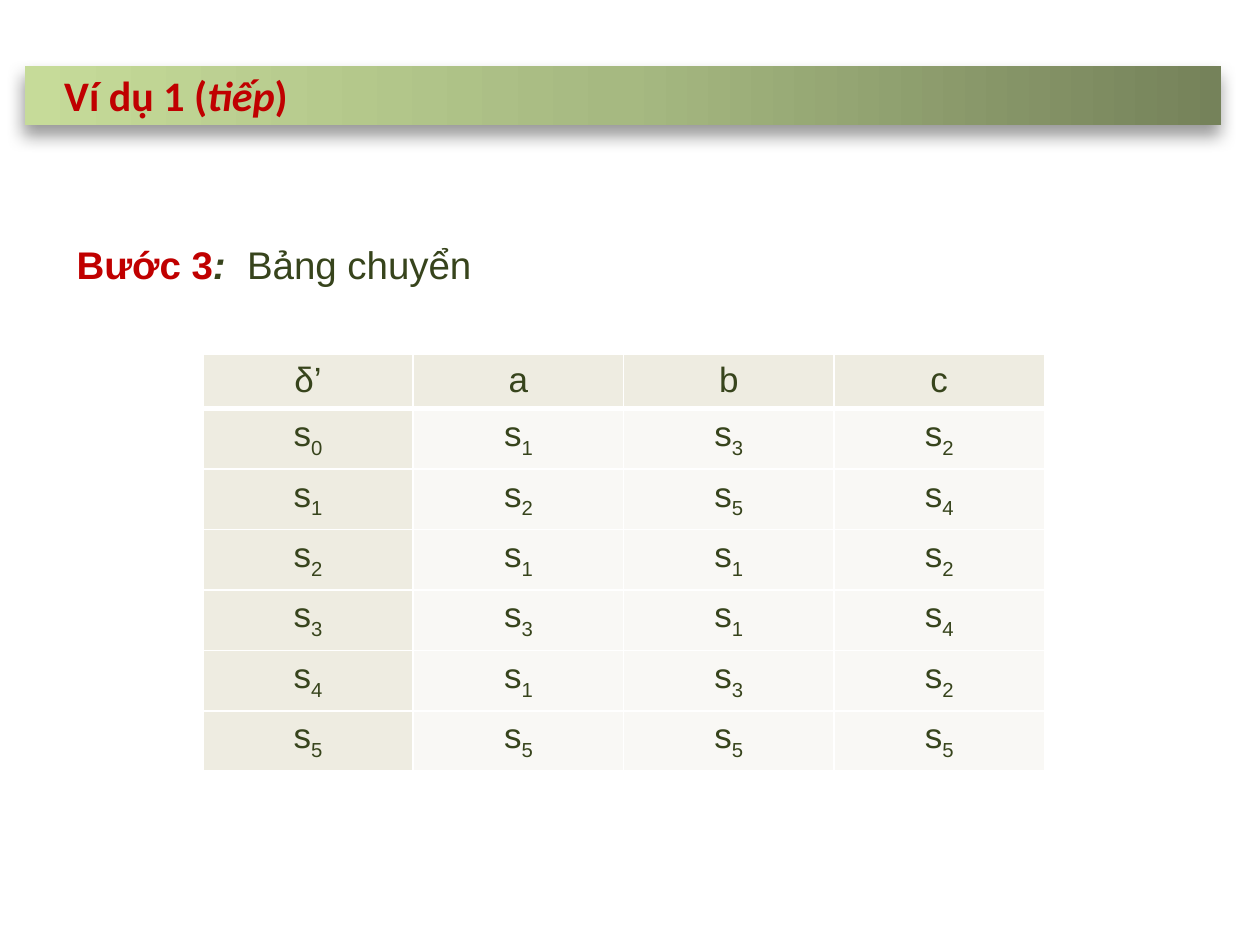
import pptx
import pptx.util
import pptx.oxml
import pptx.oxml.ns
import pptx.dml.color
import pptx.enum.text
from pptx.util import Inches

RED = pptx.dml.color.RGBColor(0xC0, 0x00, 0x00)
GREEN = pptx.dml.color.RGBColor(0x37, 0x44, 0x1C)
BEIGE = pptx.dml.color.RGBColor(0xEE, 0xEC, 0xE1)
PALE = pptx.dml.color.RGBColor(0xF9, 0xF8, 0xF5)
WHITE = pptx.dml.color.RGBColor(0xFF, 0xFF, 0xFF)
BLACK = pptx.dml.color.RGBColor(0x00, 0x00, 0x00)
GRADIENT = [
    (0, pptx.dml.color.RGBColor(0x75, 0x82, 0x5A)),
    (50, pptx.dml.color.RGBColor(0xA6, 0xB9, 0x81)),
    (100, pptx.dml.color.RGBColor(0xC6, 0xDB, 0x99)),
]
NS = pptx.oxml.ns.nsdecls("a")


def add_run(p, text, **font):
    r = p.add_run()
    r.text = text
    for name, value in font.items():
        setattr(r.font, name, value)
    return r


def set_border(cell, side, width):
    cell._tc.get_or_add_tcPr().append(pptx.oxml.parse_xml(
        f'<a:{side} {NS} w="{pptx.util.Pt(width)}"><a:solidFill>'
        f'<a:srgbClr val="{WHITE}"/></a:solidFill></a:{side}>'))


prs = pptx.Presentation()
prs.slide_width, prs.slide_height = Inches(10), Inches(7.5)
s = prs.slides.add_slide(prs.slide_layouts[5])

title = s.shapes.title
title.left, title.top = Inches(0.2), Inches(0.52)
title.width, title.height = Inches(9.49), Inches(0.47)
stops = "".join(f'<a:gs pos="{pos * 1000}"><a:srgbClr val="{color}"/></a:gs>'
                for pos, color in GRADIENT)
spPr = title._element.spPr
spPr.append(pptx.oxml.parse_xml(
    f'<a:gradFill {NS} rotWithShape="1"><a:gsLst>{stops}</a:gsLst>'
    '<a:lin ang="10800000" scaled="0"/></a:gradFill>'))
spPr.append(pptx.oxml.parse_xml(
    f'<a:effectLst {NS}><a:outerShdw blurRad="{pptx.util.Pt(10)}" '
    f'dist="{pptx.util.Pt(6)}" dir="6000000" algn="ctr" rotWithShape="0">'
    f'<a:srgbClr val="{BLACK}"><a:alpha val="40000"/></a:srgbClr>'
    '</a:outerShdw></a:effectLst>'))
tf = title.text_frame
tf.auto_size = pptx.enum.text.MSO_AUTO_SIZE.NONE
tf.vertical_anchor = pptx.enum.text.MSO_ANCHOR.MIDDLE
p = tf.paragraphs[0]
p.alignment = pptx.enum.text.PP_ALIGN.LEFT
p.font.name, p.font.size = "Calibri", pptx.util.Pt(24)
p.font.bold, p.font.color.rgb = True, RED
pPr = p._p.get_or_add_pPr()
pPr.set("marL", str(Inches(0.58)))
pPr.set("indent", str(Inches(-0.37)))
add_run(p, "Ví dụ 1 (")
add_run(p, "tiếp", italic=True)
add_run(p, ")")

step = s.shapes.add_textbox(Inches(0.51), Inches(1.86), Inches(8.98), Inches(1.42))
tf = step.text_frame
tf.word_wrap = True
p = tf.paragraphs[0]
p.space_after = pptx.util.Pt(10)
p.font.name, p.font.size = "Arial", pptx.util.Pt(22)
p.font.color.rgb = GREEN
pPr = p._p.get_or_add_pPr()
pPr.set("marL", str(Inches(0.49)))
pPr.set("indent", str(Inches(-0.49)))
add_run(p, "Bước 3", bold=True).font.color.rgb = RED
add_run(p, ":  ", bold=True, italic=True)
add_run(p, "Bảng chuyển")

header = ["δ’", "a", "b", "c"]
transitions = ["0132", "1254", "2112", "3314", "4132", "5555"]
rows = [[(name, "") for name in header]]
rows += [[("s", state) for state in line] for line in transitions]

table = s.shapes.add_table(len(rows), len(header), Inches(1.61), Inches(2.81),
                           Inches(6.67), Inches(2.87)).table
for col in table.columns:
    col.width = Inches(1.67)
for i, row in enumerate(rows):
    table.rows[i].height = Inches(0.41)
    for j, (text, subscript) in enumerate(row):
        cell = table.cell(i, j)
        set_border(cell, "lnL", 1)
        set_border(cell, "lnR", 1)
        set_border(cell, "lnT", 3 if i == 1 else 1)
        set_border(cell, "lnB", 3 if i == 0 else 1)
        cell.fill.solid()
        cell.fill.fore_color.rgb = BEIGE if i == 0 or j == 0 else PALE
        p = cell.text_frame.paragraphs[0]
        p.alignment = pptx.enum.text.PP_ALIGN.CENTER
        p.font.name, p.font.size = "Arial", pptx.util.Pt(20)
        p.font.bold, p.font.color.rgb = False, GREEN
        add_run(p, text)
        if subscript:
            r = add_run(p, subscript)
            r._r.get_or_add_rPr().set("baseline", "-25000")

prs.save("out.pptx")
